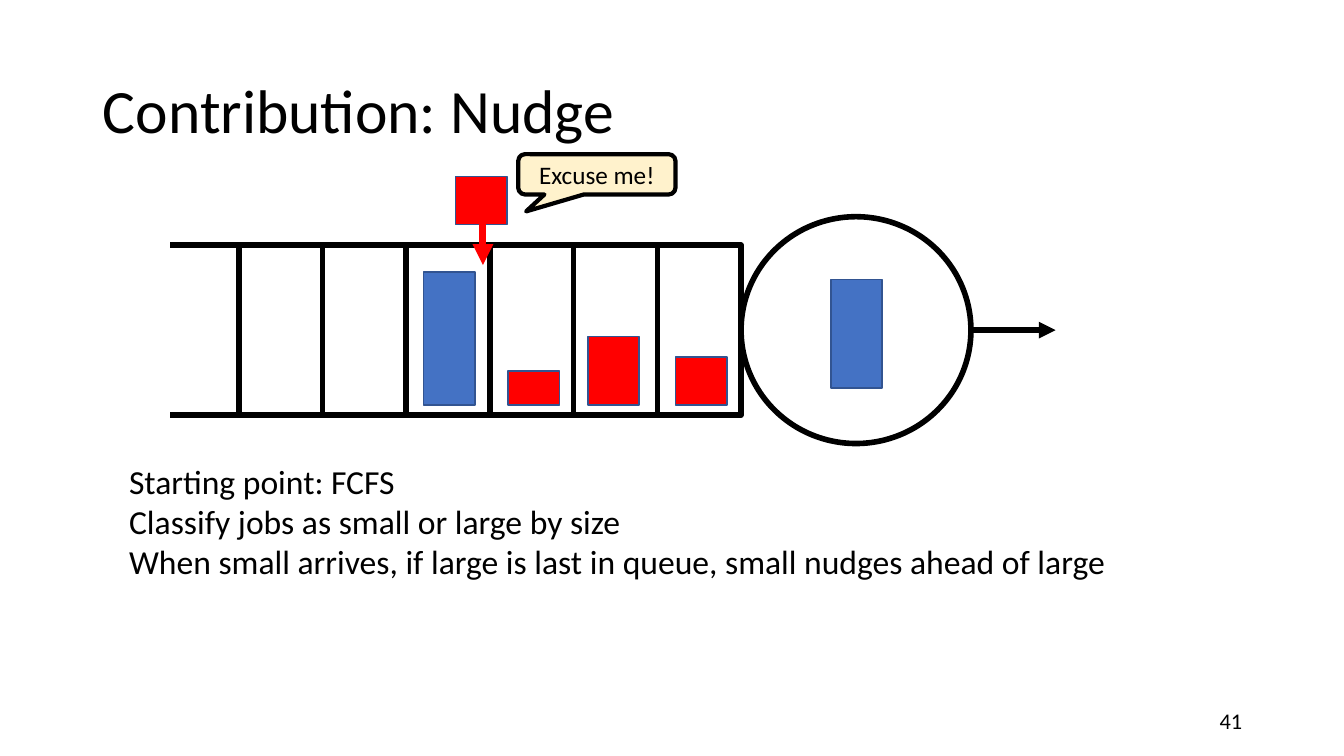
import pptx
import pptx.util
import pptx.dml.color
import pptx.enum.shapes
import pptx.enum.text
from lxml import etree

Inches, Pt = pptx.util.Inches, pptx.util.Pt
RGB = pptx.dml.color.RGBColor.from_string
SHAPE = pptx.enum.shapes.MSO_SHAPE
ALIGN = pptx.enum.text.PP_ALIGN
MIDDLE = pptx.enum.text.MSO_ANCHOR.MIDDLE
TOP = pptx.enum.text.MSO_ANCHOR.TOP
COLORS = {"ink": "000000", "paper": "FFFFFF", "large": "4472C4",
          "small": "FF0000", "edge": "325491", "speech": "FFF2CC"}

# Queue grid: six slots of equal width, ending at the server
SLOT_W, SLOTS = 0.83, 6
QUEUE_LEFT, QUEUE_TOP, QUEUE_H = 2.37, 2.43, 1.69
QUEUE_RIGHT = QUEUE_LEFT + SLOTS * SLOT_W
QUEUE_BOTTOM = QUEUE_TOP + QUEUE_H
JOB_W, JOB_FLOOR = 0.51, QUEUE_BOTTOM - 0.1
SERVER_W, SERVER_H = 2.28, 2.25
MID_Y = QUEUE_TOP + QUEUE_H / 2

prs = pptx.Presentation()
prs.slide_width, prs.slide_height = Inches(13.33), Inches(7.5)
s = prs.slides.add_slide(prs.slide_layouts[1])


def write(sp, text, size, align=ALIGN.LEFT, anchor=MIDDLE, spacing=1.0):
    """Fill a shape with one unbulleted paragraph per line of text."""
    tf = sp.text_frame
    tf.word_wrap = True
    tf.vertical_anchor = anchor
    tf.text = text
    for p in tf.paragraphs:
        pPr = p._p.get_or_add_pPr()
        pPr.set("marL", "0")
        pPr.set("indent", "0")
        etree.SubElement(pPr, pptx.oxml.ns.qn("a:buNone"))
        p.alignment, p.line_spacing = align, spacing
        p.space_before = Pt(0)
        for r in p.runs:
            r.font.size, r.font.name = Pt(size), "Calibri"
            r.font.color.rgb = RGB(COLORS["ink"])


def draw(kind, x, y, w, h, fill="paper", line="ink", weight=4):
    sp = s.shapes.add_shape(kind, Inches(x), Inches(y), Inches(w), Inches(h))
    sp.shadow.inherit = False
    sp.fill.solid()
    sp.fill.fore_color.rgb = RGB(COLORS[fill])
    sp.line.color.rgb = RGB(COLORS[line])
    sp.line.width = Pt(weight)
    return sp


# Title, list and page number
title, body = s.placeholders
number = s.shapes.add_textbox(0, 0, 0, 0)
for sp, x, y, w, h in [(title, 0.92, 0.4, 11.5, 1.45),
                       (body, 1.18, 4.52, 10.36, 1.72),
                       (number, 9.42, 6.95, 3, 0.4)]:
    sp.left, sp.top = Inches(x), Inches(y)
    sp.width, sp.height = Inches(w), Inches(h)
write(title, "Contribution: Nudge", 44, spacing=0.9)
write(body, "Starting point: FCFS\n"
            "Classify jobs as small or large by size\n"
            "When small arrives, if large is last in queue, "
            "small nudges ahead of large", 24, anchor=TOP)
write(number, "41", 16, align=ALIGN.RIGHT)

# Queue slots and server
for i in range(SLOTS):
    draw(SHAPE.RECTANGLE, QUEUE_LEFT + i * SLOT_W, QUEUE_TOP, SLOT_W, QUEUE_H)
draw(SHAPE.OVAL, QUEUE_RIGHT, MID_Y - SERVER_H / 2, SERVER_W, SERVER_H)

# Jobs: left, bottom, height, class
for x, bottom, h, job in [(4.2, JOB_FLOOR, 1.32, "large"),
                          (5.04, JOB_FLOOR, 0.34, "small"),
                          (5.83, JOB_FLOOR, 0.68, "small"),
                          (6.7, JOB_FLOOR, 0.48, "small"),
                          (8.24, 3.85, 1.08, "large"),
                          (4.52, 2.23, 0.48, "small")]:
    draw(SHAPE.RECTANGLE, x, bottom - h, JOB_W, h, job, "edge", 1)

# Queue rails, departure arrow and nudge arrow
exit_x = QUEUE_RIGHT + SERVER_W
for x1, y1, x2, y2, color, weight, arrow in [
        (1.69, QUEUE_TOP, QUEUE_RIGHT, QUEUE_TOP, "ink", 4, False),
        (1.69, QUEUE_BOTTOM, QUEUE_RIGHT, QUEUE_BOTTOM, "ink", 4, False),
        (exit_x, MID_Y, exit_x + 0.84, MID_Y, "ink", 4, True),
        (4.79, 2.22, 4.79, 2.63, "small", 5, True)]:
    c = s.shapes.add_connector(pptx.enum.shapes.MSO_CONNECTOR.STRAIGHT,
                               Inches(x1), Inches(y1), Inches(x2), Inches(y2))
    c.line.color.rgb = RGB(COLORS[color])
    c.line.width = Pt(weight)
    if arrow:
        etree.SubElement(c.line._get_or_add_ln(),
                         pptx.oxml.ns.qn("a:tailEnd"), type="triangle")
    etree.SubElement(c._element.spPr, pptx.oxml.ns.qn("a:effectLst"))

# Speech bubble of the nudging job
bubble = draw(SHAPE.ROUNDED_RECTANGULAR_CALLOUT, 5.14, 1.53, 1.56, 0.4,
              "speech", weight=3)
for i, value in enumerate([-0.45, 0.92, 0.17]):
    bubble.adjustments[i] = value
write(bubble, "Excuse me!", 18, align=ALIGN.CENTER)

prs.save("out.pptx")
